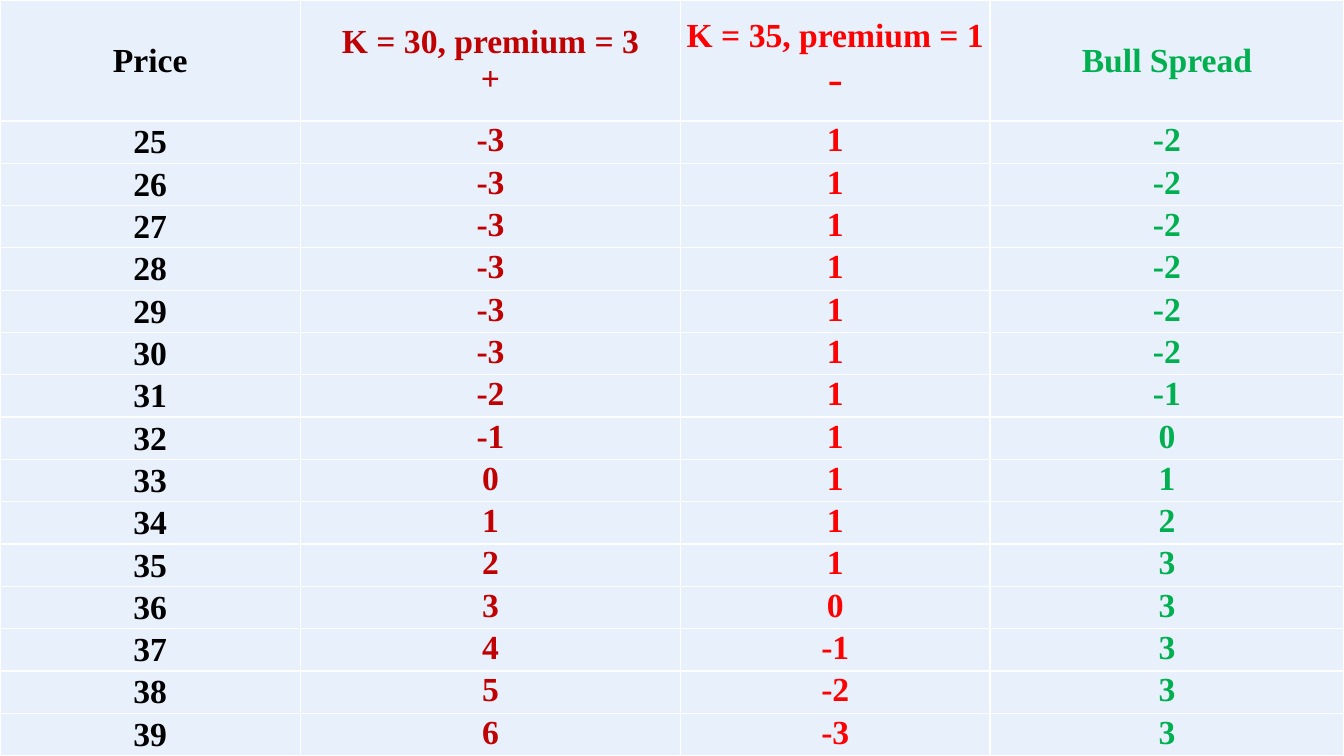
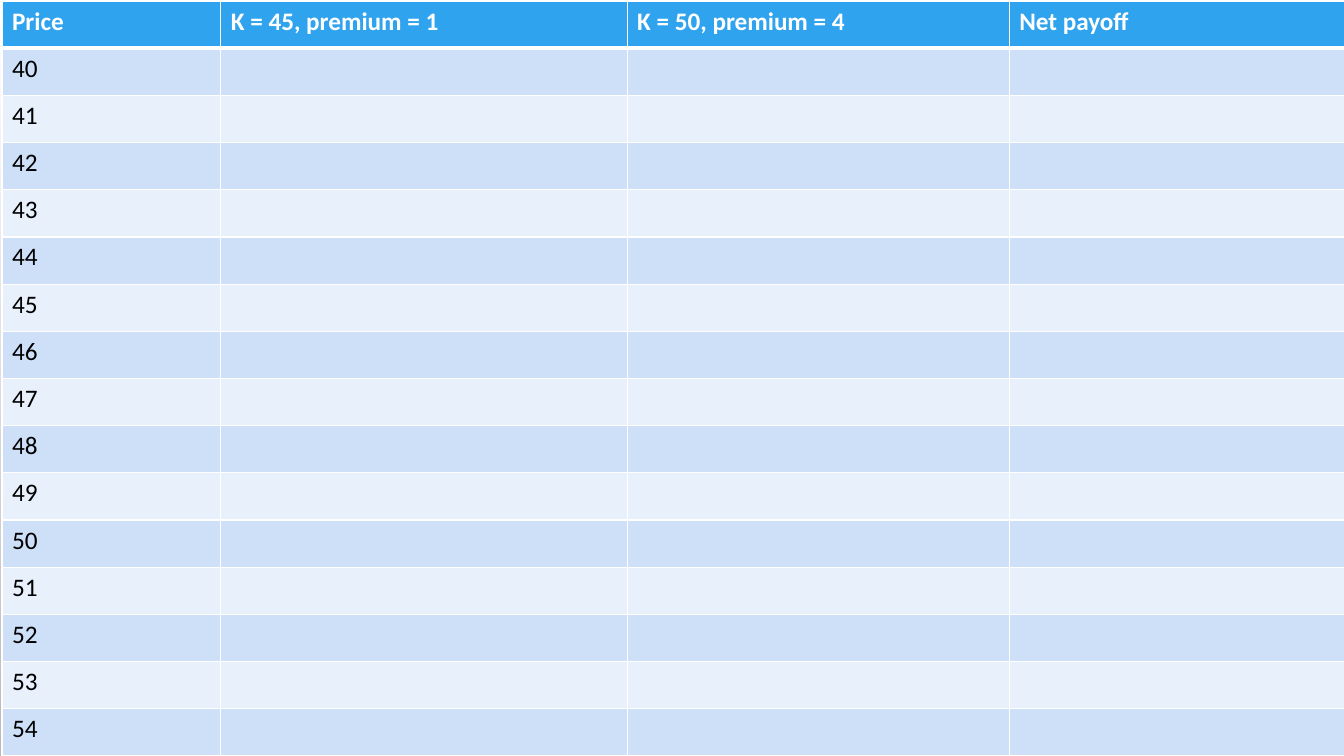
from lxml.etree import SubElement
from pptx import Presentation
from pptx.dml.color import RGBColor
from pptx.enum.text import MSO_ANCHOR, PP_ALIGN
from pptx.oxml.ns import qn
from pptx.util import Inches, Pt

WIDE, HIGH = 13.33, 7.5
BLACK = RGBColor(0, 0, 0)
WHITE = RGBColor(255, 255, 255)
GREY = RGBColor(0xB9, 0xB9, 0xB9)
DARK_RED = RGBColor(0xC0, 0, 0)
RED = RGBColor(255, 0, 0)
GREEN = RGBColor(0, 0xB0, 0x50)
BLUE = RGBColor(0x2F, 0xA3, 0xEE)
MID = RGBColor(0xCD, 0xE0, 0xF8)
PALE = RGBColor(0xE8, 0xF0, 0xFC)

# Bull spread: each column has a width, a colour and its header lines
SPREAD_COLS = [
    (2.98, BLACK, ["Price"]),
    (3.77, DARK_RED, ["K = 30, premium = 3", "+"]),
    (3.07, RED, ["K = 35, premium = 1", "-"]),
    (3.51, GREEN, ["Bull Spread"]),
]
SPREAD_PRICES = range(25, 40)
LONG_PAY = [-3, -3, -3, -3, -3, -3, -2, -1, 0, 1, 2, 3, 4, 5, 6]
SHORT_PAY = [1, 1, 1, 1, 1, 1, 1, 1, 1, 1, 1, 0, -1, -2, -3]
SPREAD_HEAD = 1.2

# Blank exercise: column widths and headers
NET_COLS = [
    (2.17, "Price"),
    (4.03, "K = 45, premium = 1"),
    (3.79, "K = 50, premium = 4"),
    (3.33, "Net payoff"),
]
NET_PRICES = range(40, 55)


def add_grid(deck, left, top, widths, heights):
    slide = deck.slides.add_slide(deck.slide_layouts[6])
    frame = slide.shapes.add_table(
        len(heights), len(widths), Inches(left), Inches(top),
        Inches(sum(widths)), Inches(sum(heights)))
    grid = frame.table
    grid.first_row = grid.horz_banding = False
    for col, width in zip(grid.columns, widths):
        col.width = Inches(width)
    for row, height in zip(grid.rows, heights):
        row.height = Inches(height)
    return grid


def paint(cell, fill, top=1, foot=1):
    """Fill a cell and rule its four sides in white, widths in points."""
    props = cell._tc.get_or_add_tcPr()
    for side, width in zip("LRTB", (1, 1, top, foot)):
        line = SubElement(props, qn(f"a:ln{side}"), w=str(Pt(width)))
        solid = SubElement(line, qn("a:solidFill"))
        SubElement(solid, qn("a:srgbClr"), val=str(WHITE))
    cell.fill.solid()
    cell.fill.fore_color.rgb = fill


def write(para, text, face, size, color, bold):
    run = para.add_run()
    run.text = text
    font = run.font
    font.name, font.size, font.bold = face, Pt(size), bold
    font.color.rgb = color


def add_spread(deck):
    body = [(p, a, b, a + b)
            for p, a, b in zip(SPREAD_PRICES, LONG_PAY, SHORT_PAY)]
    rows = [[lines for _, _, lines in SPREAD_COLS]]
    rows += [[[str(value)] for value in row] for row in body]
    step = (HIGH - SPREAD_HEAD) / len(body)
    grid = add_grid(deck, 0, 0, [col[0] for col in SPREAD_COLS],
                    [SPREAD_HEAD] + [step] * len(body))
    for r, row in enumerate(rows):
        for c, lines in enumerate(row):
            cell = grid.cell(r, c)
            paint(cell, PALE)
            cell.margin_left = cell.margin_right = Inches(0.01)
            cell.margin_top, cell.margin_bottom = Inches(0.01), 0
            middle = r == 0 or c == 0
            cell.vertical_anchor = (
                MSO_ANCHOR.MIDDLE if middle else MSO_ANCHOR.TOP)
            for n, line in enumerate(lines):
                frame = cell.text_frame
                para = frame.add_paragraph() if n else frame.paragraphs[0]
                para.alignment = PP_ALIGN.CENTER
                minus = line == "-"
                write(para, line, "Times New Roman", 32 if minus else 24,
                      SPREAD_COLS[c][1], not minus)


def add_net(deck):
    blanks = [""] * (len(NET_COLS) - 1)
    rows = [[name for _, name in NET_COLS]]
    rows += [[str(price)] + blanks for price in NET_PRICES]
    left, top = 0.02, 0.01
    step = (HIGH - top) / len(rows)
    grid = add_grid(deck, left, top, [col[0] for col in NET_COLS],
                    [step] * len(rows))
    for r, row in enumerate(rows):
        head = r == 0
        fill = BLUE if head else MID if r % 2 else PALE
        for c, text in enumerate(row):
            cell = grid.cell(r, c)
            paint(cell, fill, top=3 if r == 1 else 1, foot=3 if head else 1)
            if text:
                write(cell.text_frame.paragraphs[0], text, "Calibri", 18,
                      WHITE if head else BLACK, head)


def main():
    deck = Presentation()
    deck.slide_width, deck.slide_height = Inches(WIDE), Inches(HIGH)
    back = deck.slide_master.background.fill
    back.gradient()
    back.gradient_angle = 270
    for stop, color, place in zip(back.gradient_stops, (WHITE, GREY), (0, 1)):
        stop.color.rgb, stop.position = color, place
    add_spread(deck)
    add_net(deck)
    deck.save("out.pptx")


if __name__ == "__main__":
    main()
